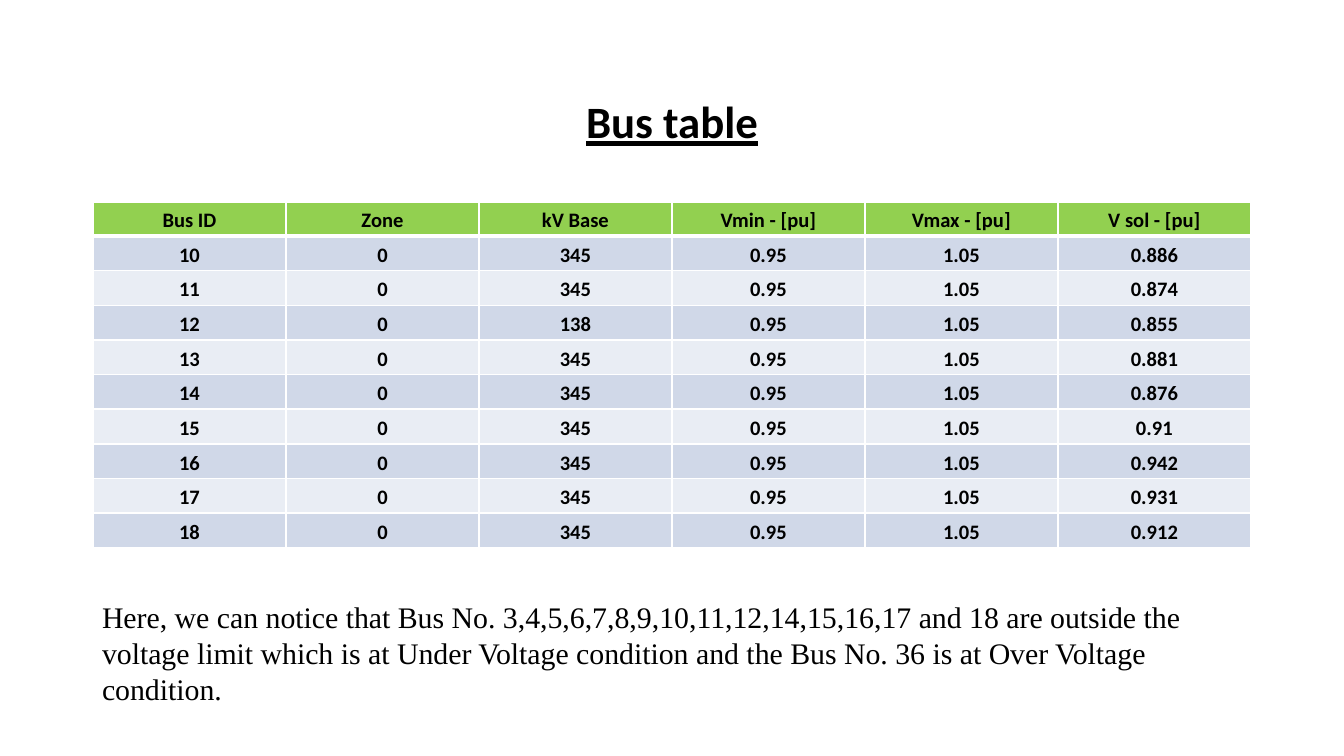
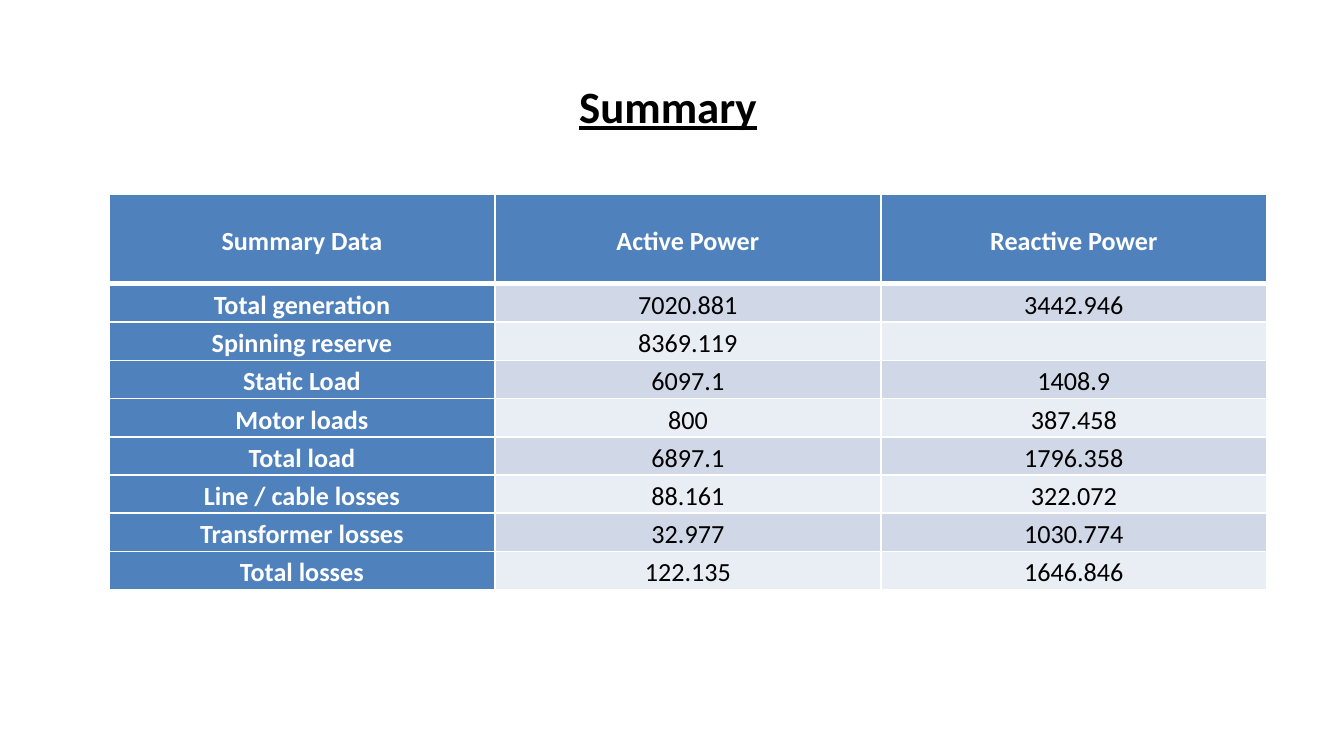
from lxml.etree import SubElement
from pptx import Presentation
from pptx.dml.color import RGBColor
from pptx.enum.text import MSO_ANCHOR, MSO_AUTO_SIZE, PP_ALIGN
from pptx.oxml.ns import qn
from pptx.util import Pt

EMU_PER_PX = 914400 / 134.4
COLORS = {
    "text": "000000",
    "white": "FFFFFF",
    "green": "92D050",
    "blue": "4F81BD",
    "band_dark": "D0D8E8",
    "band_light": "E9EDF4",
}
LINE_HEIGHT = 54
TITLE_ONLY = 5


def px(*lengths):
    """Turn pixel lengths into EMU."""
    return [round(length * EMU_PER_PX) for length in lengths]


def add_text(paragraph, text, size, color="text", font="Calibri", bold=False, underline=False):
    run = paragraph.add_run()
    run.text = text
    run.font.name = font
    run.font.size = Pt(size)
    run.font.bold = bold
    run.font.underline = underline
    run.font.color.rgb = RGBColor.from_string(COLORS[color])


bus_rows = [["Bus ID", "Zone", "kV Base", "Vmin - [pu]", "Vmax - [pu]", "V sol - [pu]"]]
solved_voltages = ["0.886", "0.874", "0.855", "0.881", "0.876", "0.91", "0.942", "0.931", "0.912"]
for bus, voltage in enumerate(solved_voltages, start=10):
    bus_rows.append([str(bus), "0", "138" if bus == 12 else "345", "0.95", "1.05", voltage])

summary_rows = [
    ["Summary Data", "Active Power", "Reactive Power"],
    ["Total generation", "7020.881", "3442.946"],
    ["Spinning reserve", "8369.119", ""],
    ["Static Load", "6097.1", "1408.9"],
    ["Motor loads", "800", "387.458"],
    ["Total load", "6897.1", "1796.358"],
    ["Line / cable losses", "88.161", "322.072"],
    ["Transformer losses", "32.977", "1030.774"],
    ["Total losses", "122.135", "1646.846"],
]

pages = [
    {
        "title": "Bus table", "title_box": (67, 31, 1210, 126), "title_drop": LINE_HEIGHT,
        "rows": bus_rows, "table_at": (93, 202), "header_height": 34, "body_height": 312,
        "size": 11, "header_fill": "green", "header_text": "text",
        "label_column": False, "bold_values": True,
        "note": "Here, we can notice that Bus No. 3,4,5,6,7,8,9,10,11,12,14,15,16,17 and 18 "
                "are outside the voltage limit which is at Under Voltage condition and the "
                "Bus No. 36 is at Over Voltage condition.",
    },
    {
        "title": "Summary", "title_box": (89, 32, 1158, 147), "title_drop": 0,
        "rows": summary_rows, "table_at": (109, 194), "header_height": 90, "body_height": 306,
        "size": 14, "header_fill": "blue", "header_text": "white",
        "label_column": True, "bold_values": False,
        "note": None,
    },
]
TABLE_WIDTH = 1158

prs = Presentation()
prs.slide_width, prs.slide_height = px(1344, 756)

for page in pages:
    slide = prs.slides.add_slide(prs.slide_layouts[TITLE_ONLY])

    title = slide.shapes.title
    title.left, title.top, title.width, title.height = px(*page["title_box"])
    title_frame = title.text_frame
    title_frame.auto_size = MSO_AUTO_SIZE.NONE
    title_frame.vertical_anchor = MSO_ANCHOR.MIDDLE
    title_frame.margin_top, title_frame.margin_bottom = px(7 + page["title_drop"], 7)
    heading = title_frame.paragraphs[0]
    heading.alignment = PP_ALIGN.CENTER
    add_text(heading, page["title"], 24, bold=True, underline=True)

    rows = page["rows"]
    table_height = page["header_height"] + page["body_height"]
    table = slide.shapes.add_table(
        len(rows), len(rows[0]), *px(*page["table_at"], TABLE_WIDTH, table_height)
    ).table
    for column in table.columns:
        column.width = px(TABLE_WIDTH // len(rows[0]))[0]
    for row in table.rows:
        row.height = px(page["body_height"])[0] // (len(rows) - 1)
    table.rows[0].height = px(page["header_height"])[0]

    for r, values in enumerate(rows):
        for c, value in enumerate(values):
            cell = table.cell(r, c)
            is_label = r == 0 or (page["label_column"] and c == 0)

            properties = cell._tc.get_or_add_tcPr()
            widths = {"lnL": 1, "lnR": 1, "lnT": 3 if r == 1 else 1, "lnB": 3 if r == 0 else 1}
            for edge, width in widths.items():
                line = SubElement(properties, qn(f"a:{edge}"), w=str(Pt(width)))
                line_fill = SubElement(line, qn("a:solidFill"))
                SubElement(line_fill, qn("a:srgbClr"), val=COLORS["white"])

            band = "band_dark" if r % 2 else "band_light"
            cell.fill.solid()
            cell.fill.fore_color.rgb = RGBColor.from_string(
                COLORS[page["header_fill"] if is_label else band]
            )
            cell.vertical_anchor = MSO_ANCHOR.MIDDLE
            cell.margin_left, cell.margin_right = px(8, 8)
            cell.margin_top = cell.margin_bottom = 0

            entry = cell.text_frame.paragraphs[0]
            entry.alignment = PP_ALIGN.CENTER
            entry.line_spacing = 1.15
            entry.space_after = Pt(10)
            if value:
                add_text(entry, value, page["size"],
                         color=page["header_text"] if is_label else "text",
                         bold=is_label or page["bold_values"])
            else:
                # keeps an empty cell from stretching its row
                SubElement(entry._p, qn("a:endParaRPr"), sz=str(page["size"] * 100))

    if page["note"]:
        note_frame = slide.shapes.add_textbox(*px(93, 594, TABLE_WIDTH, 118)).text_frame
        note_frame.word_wrap = True
        note_frame.auto_size = MSO_AUTO_SIZE.SHAPE_TO_FIT_TEXT
        note_frame.margin_left, note_frame.margin_right = px(9, 9)
        note_frame.margin_top, note_frame.margin_bottom = px(5, 5)
        add_text(note_frame.paragraphs[0], page["note"], 16, font="Times New Roman")

prs.save("out.pptx")
